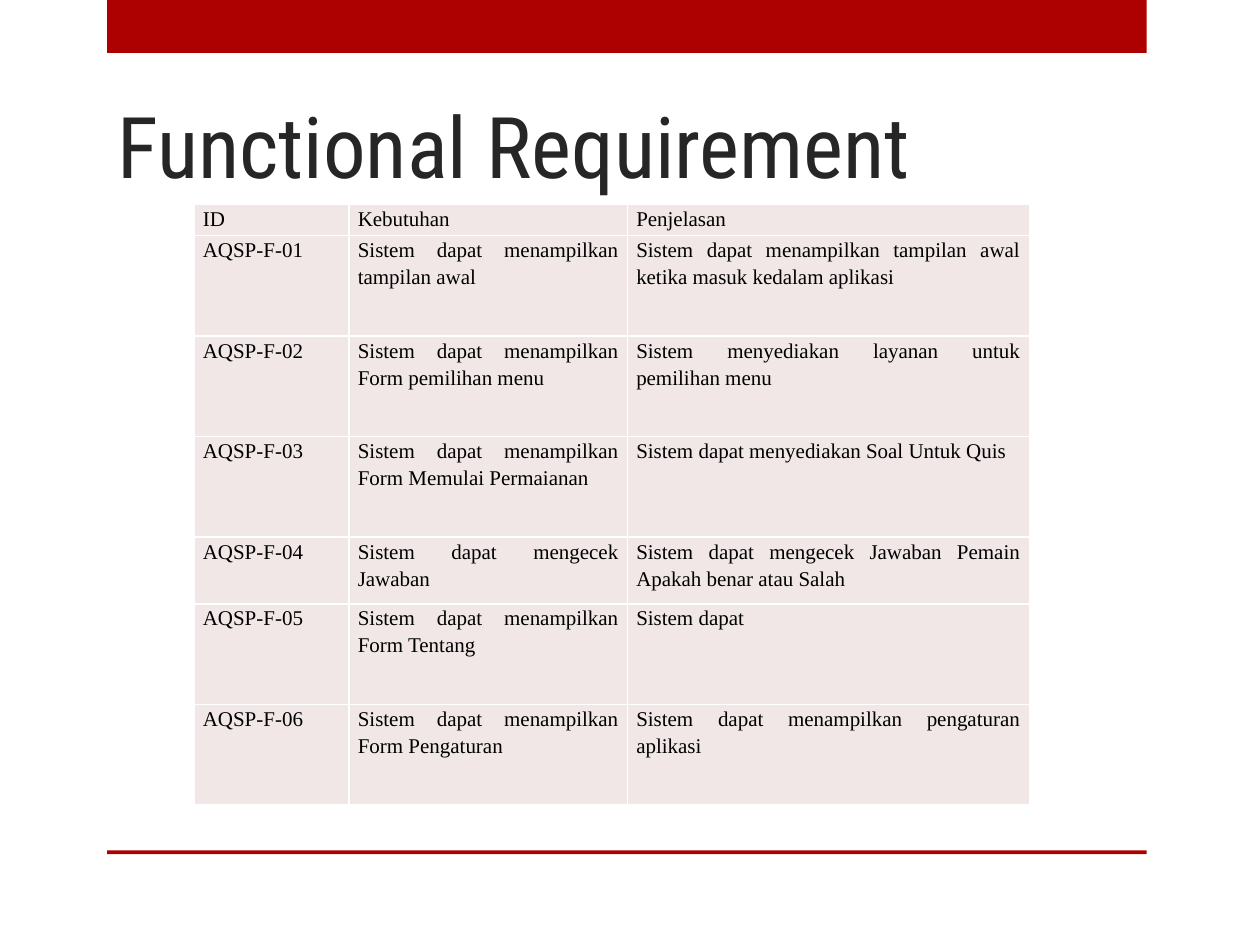
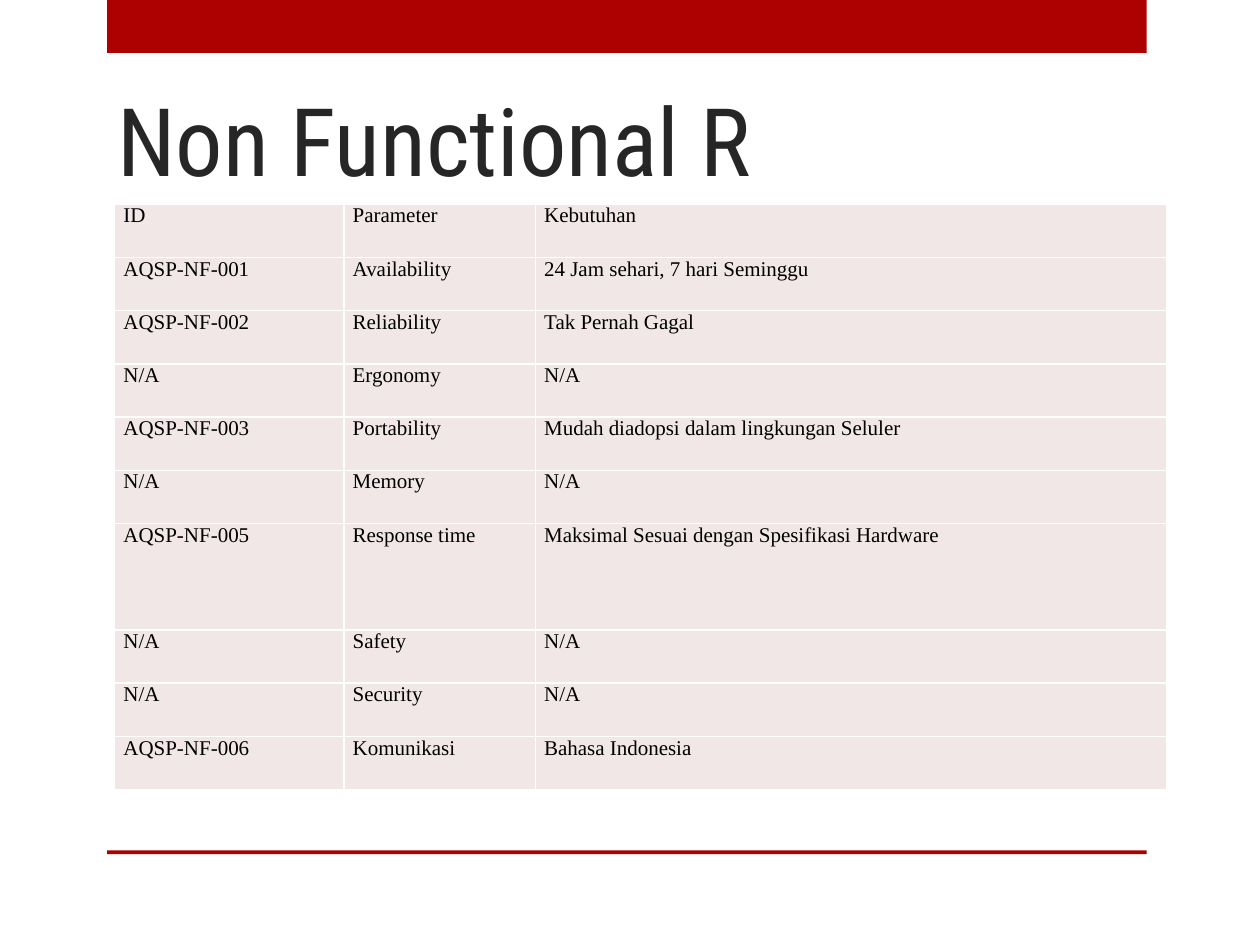
from dataclasses import dataclass

from lxml.etree import SubElement
from pptx import Presentation
from pptx.dml.color import RGBColor
from pptx.enum.shapes import MSO_SHAPE
from pptx.enum.text import MSO_ANCHOR, MSO_AUTO_SIZE, PP_ALIGN
from pptx.oxml.ns import qn
from pptx.util import Inches, Pt


@dataclass(frozen=True)
class Theme:
    """Colours, fonts and sizes used across the deck."""
    band: str = "AD0101"
    title: str = "262626"
    body: str = "000000"
    cell: str = "F1E7E7"
    border: str = "FFFFFF"
    title_font: str = "Roboto Condensed"
    body_font: str = "Times New Roman"
    body_size: float = 12
    border_width: float = 1
    cell_inset: float = 0.07


THEME = Theme()
SLIDE_WIDTH, SLIDE_HEIGHT = 10, 7.5
BANDS = [(0.85, 0, 8.25, 0.42), (0.85, 6.75, 8.25, 0.03)]
TITLE_LEFT, TITLE_WIDTH, TITLE_BOTTOM = 0.83, 7.42, 1.55
TABLE_TOP = 1.62

# Column and row entries are shares of the table's width and height.
PAGES = [
    {
        "title": "Functional Requirement",
        "title_size": 48.6,
        "title_height": 1.19,
        "left": 1.54, "width": 6.63, "height": 4.77,
        "columns": [1.23, 2.21, 3.19],
        "rows": [0.25, 0.8, 0.8, 0.8, 0.53, 0.8, 0.8],
        "line_spacing": 1.15,
        "cells": [
            ("ID", "Kebutuhan", "Penjelasan"),
            ("AQSP-F-01", "Sistem dapat menampilkan tampilan awal",
             "Sistem dapat menampilkan tampilan awal ketika masuk kedalam aplikasi"),
            ("AQSP-F-02", "Sistem dapat menampilkan Form pemilihan menu",
             "Sistem menyediakan layanan untuk pemilihan menu"),
            ("AQSP-F-03", "Sistem dapat menampilkan Form Memulai Permaianan",
             "Sistem dapat menyediakan Soal Untuk Quis"),
            ("AQSP-F-04", "Sistem dapat mengecek Jawaban",
             "Sistem dapat mengecek Jawaban Pemain Apakah benar atau Salah"),
            ("AQSP-F-05", "Sistem dapat menampilkan Form Tentang", "Sistem dapat"),
            ("AQSP-F-06", "Sistem dapat menampilkan Form Pengaturan",
             "Sistem dapat menampilkan pengaturan aplikasi"),
        ],
    },
    {
        "title": "Non Functional R",
        "title_size": 54,
        "title_height": 1.11,
        "left": 0.91, "width": 8.35, "height": 4.65,
        "columns": [1.82, 1.52, 5.01],
        "rows": [1, 1, 1, 1, 1, 1, 2, 1, 1, 1],
        "line_spacing": 1.0,
        "cells": [
            ("ID", "Parameter", "Kebutuhan"),
            ("AQSP-NF-001", "Availability", "24 Jam sehari, 7 hari Seminggu"),
            ("AQSP-NF-002", "Reliability", "Tak Pernah Gagal"),
            ("N/A", "Ergonomy", "N/A"),
            ("AQSP-NF-003", "Portability", "Mudah diadopsi dalam lingkungan Seluler"),
            ("N/A", "Memory", "N/A"),
            ("AQSP-NF-005", "Response time",
             "Maksimal Sesuai dengan Spesifikasi Hardware"),
            ("N/A", "Safety", "N/A"),
            ("N/A", "Security", "N/A"),
            ("AQSP-NF-006", "Komunikasi", "Bahasa Indonesia"),
        ],
    },
]


def write(frame, text, *, font, size, color, align, line_spacing=None):
    """Put one formatted paragraph into a text frame."""
    para = frame.paragraphs[0]
    para.alignment = align
    para.line_spacing = line_spacing
    span = para.add_run()
    span.text = text
    span.font.name = font
    span.font.size = Pt(size)
    span.font.color.rgb = RGBColor.from_string(color)


def add_master_bands(deck, page):
    """Draw the red bands on a page, then move them to the slide master."""
    for position, bounds in enumerate(BANDS, start=2):
        band = page.shapes.add_shape(MSO_SHAPE.RECTANGLE, *map(Inches, bounds))
        band.shadow.inherit = False
        band.fill.solid()
        band.fill.fore_color.rgb = RGBColor.from_string(THEME.band)
        band.line.fill.background()
        deck.slide_master.shapes.element.insert(position, band.element)


def set_title(page, content):
    """Place the title so that its text rests on the shared bottom edge."""
    box = page.shapes.title
    height = content["title_height"]
    box.left, box.top = Inches(TITLE_LEFT), Inches(TITLE_BOTTOM - height)
    box.width, box.height = Inches(TITLE_WIDTH), Inches(height)
    frame = box.text_frame
    frame.word_wrap = True
    frame.auto_size = MSO_AUTO_SIZE.NONE
    frame.vertical_anchor = MSO_ANCHOR.BOTTOM
    frame.margin_bottom = 0
    write(frame, content["title"], font=THEME.title_font, color=THEME.title,
          size=content["title_size"], align=PP_ALIGN.LEFT)


def set_borders(cell):
    """Give a cell an even border on its four sides."""
    properties = cell._tc.get_or_add_tcPr()
    for index, side in enumerate(("a:lnL", "a:lnR", "a:lnT", "a:lnB")):
        line = SubElement(properties, qn(side), w=str(Pt(THEME.border_width)))
        fill = SubElement(line, qn("a:solidFill"))
        SubElement(fill, qn("a:srgbClr"), val=THEME.border)
        properties.insert(index, line)


def format_cell(cell, text, line_spacing):
    """Fill, frame and write one table cell."""
    cell.fill.solid()
    cell.fill.fore_color.rgb = RGBColor.from_string(THEME.cell)
    cell.margin_left = cell.margin_right = Inches(THEME.cell_inset)
    cell.margin_top = cell.margin_bottom = 0
    set_borders(cell)
    write(cell.text_frame, text, font=THEME.body_font, size=THEME.body_size,
          color=THEME.body, align=PP_ALIGN.JUSTIFY, line_spacing=line_spacing)


def share(total, weights):
    """Split a length in inches in proportion to the weights."""
    return [Inches(total * weight / sum(weights)) for weight in weights]


def add_requirements(page, content):
    """Add the table of requirements."""
    bounds = (content["left"], TABLE_TOP, content["width"], content["height"])
    table = page.shapes.add_table(len(content["rows"]), len(content["columns"]),
                                  *map(Inches, bounds)).table
    table.first_row = table.horz_banding = False
    for column, width in zip(table.columns, share(content["width"], content["columns"])):
        column.width = width
    for row, height in zip(table.rows, share(content["height"], content["rows"])):
        row.height = height
    for row, texts in zip(table.rows, content["cells"]):
        for cell, text in zip(row.cells, texts):
            format_cell(cell, text, content["line_spacing"])


def build():
    """Build and save the deck."""
    deck = Presentation()
    deck.slide_width, deck.slide_height = Inches(SLIDE_WIDTH), Inches(SLIDE_HEIGHT)
    title_only = deck.slide_layouts.get_by_name("Title Only")
    pages = [deck.slides.add_slide(title_only) for _ in PAGES]
    add_master_bands(deck, pages[0])
    for page, content in zip(pages, PAGES):
        set_title(page, content)
        add_requirements(page, content)
    deck.save("out.pptx")


build()
